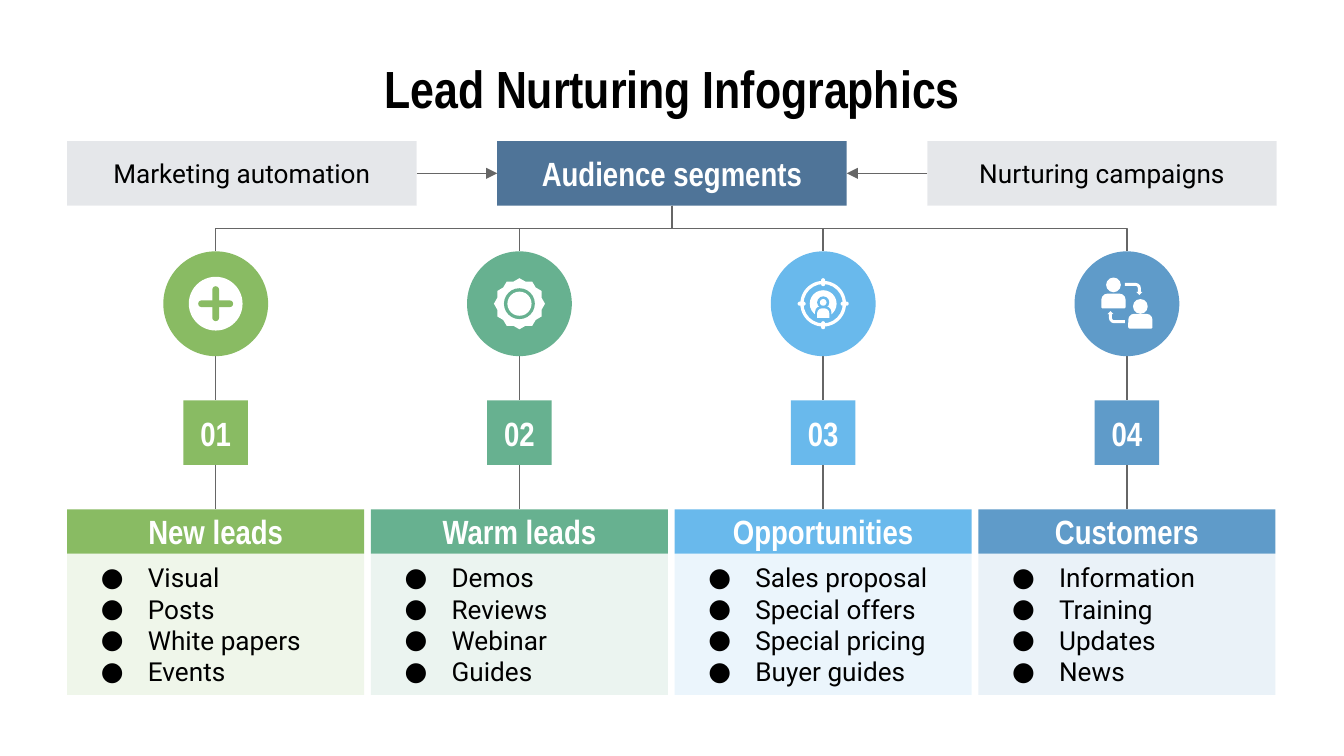
"""Build the Lead Nurturing Infographics slide."""
from dataclasses import dataclass
from lxml.etree import SubElement
from pptx import Presentation
from pptx.dml.color import RGBColor as RGB
from pptx.enum.shapes import MSO_CONNECTOR as CXN, MSO_SHAPE as SHP
from pptx.enum.text import MSO_ANCHOR as ANC, MSO_AUTO_SIZE as AUTO, PP_ALIGN as AL
from pptx.oxml.ns import qn
from pptx.util import Inches as In, Pt


@dataclass(frozen=True)
class Theme:
    head: str = "Arial Narrow"
    body: str = "Roboto"
    ink: str = "000000"
    white: str = "FFFFFF"
    line: str = "666666"
    hub: str = "4F7498"
    side: str = "3C4964"
    tint: int = 13
    title: int = 28
    label: int = 18
    text: int = 14
    rule: float = 0.75


T = Theme()
TITLE = "Lead Nurturing Infographics"
HUB = "Audience segments"
SIDES = [("Marketing automation", 0.5), ("Nurturing campaigns", 6.9)]
STAGES = [
    ("New leads", "89BB63", ["Visual", "Posts", "White papers", "Events"]),
    ("Warm leads", "67B190", ["Demos", "Reviews", "Webinar", "Guides"]),
    ("Opportunities", "69B9EC",
     ["Sales proposal", "Special offers", "Special pricing", "Buyer guides"]),
    ("Customers", "5F9BC9", ["Information", "Training", "Updates", "News"]),
]
DOT, BAR, BUST = SHP.OVAL, SHP.ROUNDED_RECTANGLE, SHP.ROUND_2_SAME_RECTANGLE
TURN = SHP.BENT_ARROW
ICONS = [
    [(DOT, 0, 0, 0.4, 0.4, 1), (BAR, 0, 0, 0.26, 0.05, 0),
     (BAR, 0, 0, 0.05, 0.26, 0)],
    [(SHP.STAR_12_POINT, 0, 0, 0.38, 0.38, 1, 0, [0.45]),
     (DOT, 0, 0, 0.23, 0.23, 0), (DOT, 0, 0, 0.18, 0.18, 1)],
    [(SHP.DONUT, 0, 0, 0.34, 0.34, 1, 0, [0.07]),
     (BAR, 0, -0.16, 0.03, 0.06, 1), (BAR, 0, 0.16, 0.03, 0.06, 1),
     (BAR, -0.16, 0, 0.06, 0.03, 1), (BAR, 0.16, 0, 0.06, 0.03, 1),
     (DOT, 0, 0, 0.2, 0.2, 1), (DOT, 0, -0.01, 0.09, 0.09, 0),
     (BUST, 0, 0.06, 0.12, 0.08, 0, 0, [0.5, 0]),
     (DOT, 0, -0.01, 0.05, 0.05, 1),
     (BUST, 0, 0.07, 0.09, 0.07, 1, 0, [0.5, 0])],
    [(DOT, -0.1, -0.14, 0.11, 0.11, 1), (DOT, 0.1, 0.02, 0.11, 0.11, 1),
     (BUST, -0.1, -0.02, 0.18, 0.11, 1, 0, [0.4, 0.1]),
     (BUST, 0.1, 0.13, 0.18, 0.11, 1, 0, [0.4, 0.1]),
     (TURN, 0.05, -0.11, 0.09, 0.13, 1, 90),
     (TURN, -0.08, 0.1, 0.09, 0.13, 1, 270)],
]
EDGE, STEP, WIDE = 0.5, 2.26, 2.21
HUB_Y, HUB_W, TALL = 1.05, 2.6, 0.48
DISC_Y, DISC = 1.87, 0.78
NUM_Y, HEAD_Y, LIST_Y, LIST_H = 2.98, 3.79, 4.12, 1.05


def place(shape, x, y, w, h):
    shape.left, shape.top, shape.width, shape.height = map(In, (x, y, w, h))


def paint(shape, color, alpha=None):
    shape.fill.solid()
    shape.fill.fore_color.rgb = RGB.from_string(color)
    shape.line.fill.background()
    if alpha:
        tone = shape.fill._xPr.find(qn("a:solidFill"))[0]
        SubElement(tone, qn("a:alpha"), val=str(alpha * 1000))


def write(shape, text, size, face, color, bold=False, align=AL.CENTER):
    frame = shape.text_frame
    frame.text = text
    frame.word_wrap, frame.auto_size = True, AUTO.NONE
    frame.vertical_anchor = ANC.MIDDLE
    frame.margin_left = frame.margin_right = In(0.1)
    frame.margin_top = frame.margin_bottom = In(0.1)
    for par in frame.paragraphs:
        par.alignment = align
        par.space_before = Pt(0)
        for run in par.runs:
            font = run.font
            font.name, font.size, font.bold = face, Pt(size), bold
            font.color.rgb = RGB.from_string(color)


def draw(slide, kind, x, y, w, h, color, alpha=None):
    shape = slide.shapes.add_shape(kind, *map(In, (x, y, w, h)))
    shape.shadow.inherit = False
    paint(shape, color, alpha)
    return shape


def label(slide, text, x, y, w, h, color):
    box = draw(slide, SHP.RECTANGLE, x, y, w, h, color)
    write(box, text, T.label, T.head, T.white, True)


def icon(slide, parts, x, y, color):
    for kind, dx, dy, w, h, light, *more in parts:
        part = draw(slide, kind, x + dx - w / 2, y + dy - h / 2, w, h,
                    T.white if light else color)
        if kind == BAR:
            part.adjustments[0] = 0.5
        if more:
            part.rotation = more[0]
        for i, val in enumerate(more[1] if more[1:] else []):
            part.adjustments[i] = val


def link(slide, x1, y1, x2, y2, kind=CXN.STRAIGHT, arrow=False):
    line = slide.shapes.add_connector(kind, *map(In, (x1, y1, x2, y2)))
    line.line.width = Pt(T.rule)
    line.line.color.rgb = RGB.from_string(T.line)
    if arrow:
        SubElement(line.line._get_or_add_ln(), qn("a:tailEnd"), type="triangle")
    SubElement(line._element.spPr, qn("a:effectLst"))
    return line


def branch(slide, x1, y1, x2, y2):
    mx, my = (x1 + x2) / 2, (y1 + y2) / 2
    dx, dy = abs(x2 - x1) / 2, (y2 - y1) / 2
    side = 1 if x2 > x1 else -1
    line = link(slide, mx + side * dy, my - dx, mx - side * dy, my + dx, CXN.ELBOW)
    turn = 270 if side > 0 else 90
    line._element.spPr.find(qn("a:xfrm")).set("rot", str(turn * 60000))


def bullets(shape, items, color):
    paint(shape, color, T.tint)
    write(shape, "\n".join(items), T.text, T.body, T.ink, align=AL.LEFT)
    level = SubElement(shape._element.txBody.find(qn("a:lstStyle")), qn("a:lvl1pPr"))
    SubElement(level, qn("a:defRPr"), sz=str(T.text * 100), b="0")
    for par in shape.text_frame.paragraphs:
        prop = par._p.get_or_add_pPr()
        prop.set("marL", str(In(0.5)))
        prop.set("indent", str(In(-0.35)))
        tone = SubElement(prop, qn("a:buClr"))
        SubElement(tone, qn("a:srgbClr"), val=T.ink)
        SubElement(prop, qn("a:buFont"), typeface=T.body)
        SubElement(prop, qn("a:buChar"), char="●")


def main():
    deck = Presentation()
    deck.slide_width, deck.slide_height = In(10), In(10 * 9 / 16)
    slide = deck.slides.add_slide(deck.slide_layouts[4])
    title, *lists = slide.placeholders
    place(title, 0.5, 0.45, 9, 0.41)
    write(title, TITLE, T.title, T.head, T.ink, True)

    label(slide, HUB, 5 - HUB_W / 2, HUB_Y, HUB_W, TALL, T.hub)
    for text, x in SIDES:
        box = draw(slide, SHP.RECTANGLE, x, HUB_Y, HUB_W, TALL, T.side, T.tint)
        write(box, text, T.text, T.body, T.ink)
    mid = HUB_Y + TALL / 2
    for x1, x2 in [(3.1, 3.7), (6.9, 6.3)]:
        link(slide, x1, mid, x2, mid, arrow=True)

    for i, (name, color, items) in enumerate(STAGES):
        x = EDGE + i * STEP
        cx = x + WIDE / 2
        branch(slide, 5, HUB_Y + TALL, cx, DISC_Y)
        link(slide, cx, DISC_Y + DISC, cx, NUM_Y)
        link(slide, cx, NUM_Y + TALL, cx, HEAD_Y)
        draw(slide, DOT, cx - DISC / 2, DISC_Y, DISC, DISC, color)
        icon(slide, ICONS[i], cx, DISC_Y + DISC / 2, color)
        label(slide, f"{i + 1:02}", cx - TALL / 2, NUM_Y, TALL, TALL, color)
        label(slide, name, x, HEAD_Y, WIDE, LIST_Y - HEAD_Y, color)
        place(lists[i], x, LIST_Y, WIDE, LIST_H)
        bullets(lists[i], items, color)
    deck.save("out.pptx")


if __name__ == "__main__":
    main()
